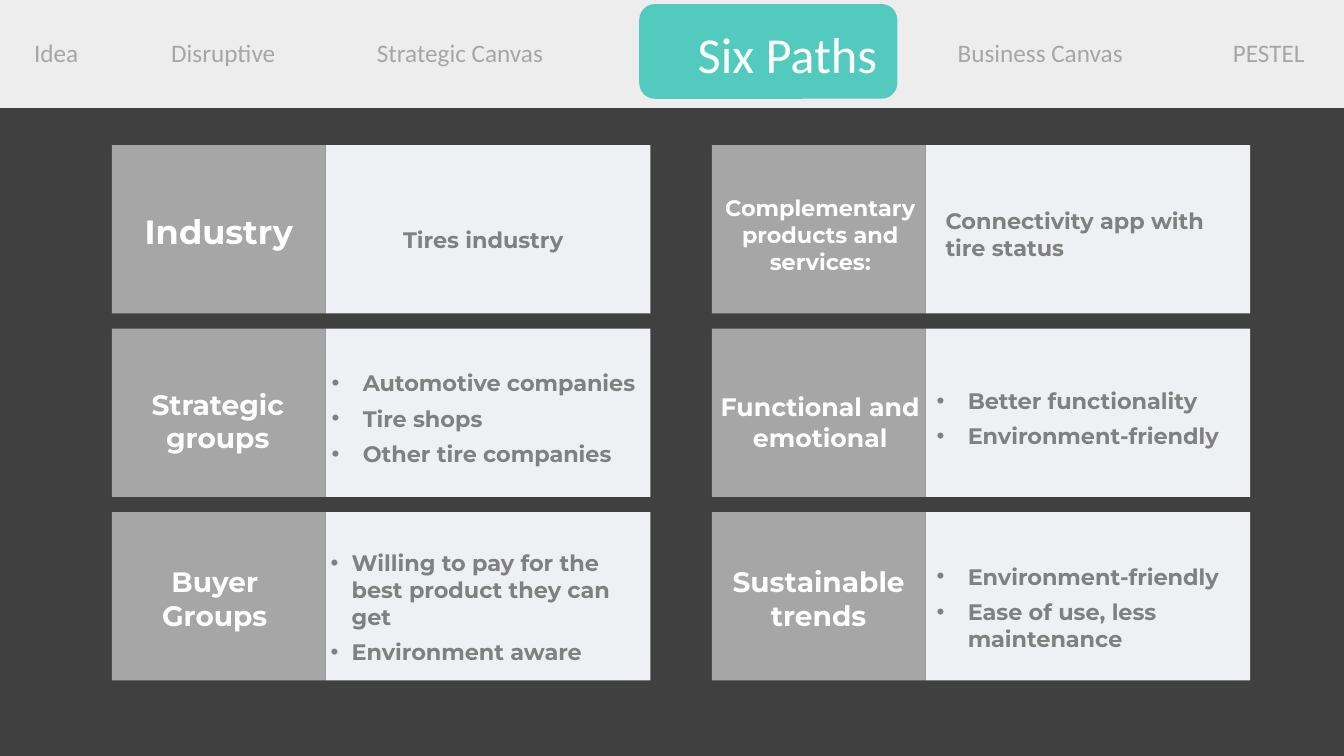
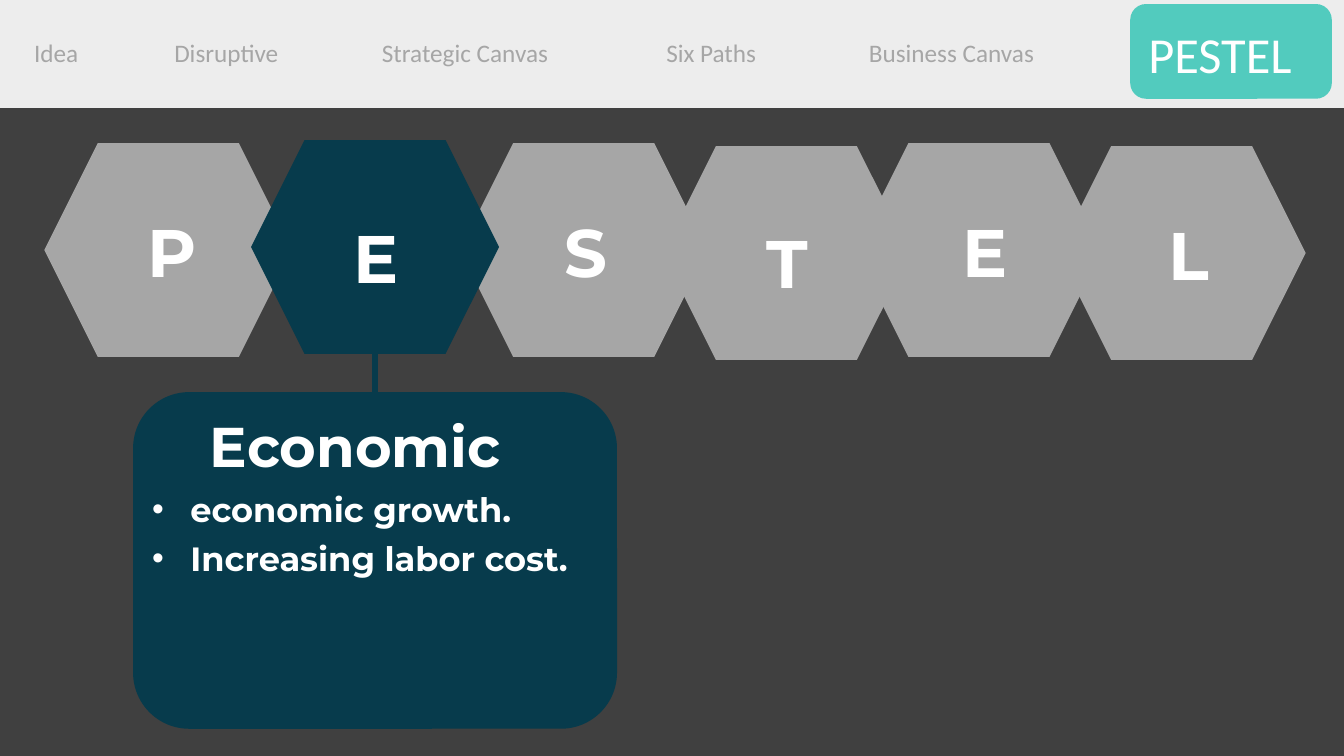
from dataclasses import dataclass

from lxml import etree
from pptx import Presentation
from pptx.dml.color import RGBColor
from pptx.enum import shapes, text
from pptx.oxml import ns
from pptx.util import Inches, Pt


@dataclass(frozen=True)
class Theme:
    # Colours
    page: str = "404040"
    band: str = "EDEDED"
    tab: str = "52CBBE"
    grey: str = "A6A6A6"
    panel: str = "EFF0F3"
    body: str = "808080"
    accent: str = "073B4C"
    white: str = "FFFFFF"
    # Fonts and type sizes
    nav_font: str = "Calibri"
    font: str = "Montserrat"
    nav_size: int = 18
    tab_size: int = 36
    body_size: int = 16
    list_size: int = 24
    title_size: int = 40
    letter_size: int = 48


THEME = Theme()
LEFT, CENTER, RIGHT = (text.PP_ALIGN.LEFT, text.PP_ALIGN.CENTER,
                       text.PP_ALIGN.RIGHT)
RECT = shapes.MSO_SHAPE.RECTANGLE
ROUND = shapes.MSO_SHAPE.ROUNDED_RECTANGLE
HEXAGON = shapes.MSO_SHAPE.HEXAGON

NAV_NAMES = ("Idea", "Disruptive", "Strategic Canvas", "Six Paths",
             "Business Canvas", "PESTEL")
NAV_WIDTHS = (0.71, 1.49, 2.2, 1.39, 2.14, 1.04)

# Six Paths grid
COLUMN_LEFTS = (1.11, 7.06)
ROW_TOP, ROW_PITCH, ROW_HEIGHT = 1.44, 1.82, 1.67
LABEL_WIDTH, PANEL_WIDTH = 2.12, 3.22

# Column, row, (label, size, box), (lines, box, bullet indents or None)
PATHS = (
    (0, 0, ("Industry", 24, (1.11, 2.04, 2.12, 0.5)),
     (["Tires industry"], (3.9, 2.19, 2.44, 0.37), None)),
    (0, 1, ("Strategic groups", 20, (1.1, 3.79, 2.12, 0.77)),
     (["Automotive companies", "Tire shops", "Other tire companies"],
      (3.19, 3.61, 3.6, 1.08), (0.31, -0.31))),
    (0, 2, ("Buyer Groups", 20, (1.07, 5.55, 2.12, 0.77)),
     (["Willing to pay for the best product they can get",
       "Environment aware"], (3.08, 5.53, 3.46, 0.99), (0.31, -0.21))),
    (1, 0, ("Complementary products and services:", 16,
            (6.79, 1.87, 2.69, 0.91)),
     (["Connectivity app with tire status"], (9.28, 2, 3.14, 0.64), None)),
    (1, 1, ("Functional and emotional", 18, (6.58, 3.83, 3.11, 0.71)),
     (["Better functionality", "Environment-friendly"],
      (9.19, 3.79, 3.41, 0.72), (0.31, -0.31))),
    (1, 2, ("Sustainable trends", 20, (6.89, 5.55, 2.46, 0.77)),
     (["Environment-friendly", "Ease of use, less maintenance"],
      (9.19, 5.53, 3.41, 0.99), (0.31, -0.31))),
)

# Letter, hexagon left and top, letter offset within the hexagon
HEXAGONS = (
    ("S", 4.56, 1.42, 0.73, 0.61),
    ("P", 0.44, 1.42, 0.75, 0.61),
    ("E", 2.49, 1.39, 0.72, 0.7),
    ("E", 8.48, 1.42, 0.77, 0.61),
    ("T", 6.57, 1.45, 0.72, 0.69),
    ("L", 10.49, 1.45, 0.78, 0.61),
)
ACTIVE_HEXAGON = 2


def lengths(box):
    return [Inches(value) for value in box]


def add_block(parent, kind, box, color):
    """Flat filled shape without outline or shadow."""
    shape = parent.shapes.add_shape(kind, *lengths(box))
    shape.shadow.inherit = False
    shape.fill.solid()
    shape.fill.fore_color.rgb = RGBColor.from_string(color)
    shape.line.fill.background()
    return shape


def set_bullet(para, indents):
    margin, hanging = lengths(indents)
    props = para._p.get_or_add_pPr()
    props.set("marL", str(margin))
    props.set("indent", str(hanging))
    etree.SubElement(props, ns.qn("a:buFont")).set("typeface", "Arial")
    etree.SubElement(props, ns.qn("a:buChar")).set("char", "•")


def add_text(parent, box, lines, size, color, font=THEME.font, bold=True,
             align=LEFT, indents=None, gap=6):
    """Wrapped text, centred vertically, with one paragraph per line."""
    frame = parent.shapes.add_textbox(*lengths(box)).text_frame
    frame_format = {"word_wrap": True,
                    "vertical_anchor": text.MSO_ANCHOR.MIDDLE,
                    "auto_size": text.MSO_AUTO_SIZE.SHAPE_TO_FIT_TEXT}
    for name, value in frame_format.items():
        setattr(frame, name, value)
    for index, line in enumerate(lines):
        para = frame.paragraphs[0] if index == 0 else frame.add_paragraph()
        para.alignment = align
        if indents:
            set_bullet(para, indents)
        if index:
            para.space_before = Pt(gap)
        span = para.add_run()
        span.text = line
        for name, value in {"name": font, "size": Pt(size),
                            "bold": bold}.items():
            setattr(span.font, name, value)
        span.font.color.rgb = RGBColor.from_string(color)


def add_page(deck, active, tab_box, title_box, nav_lefts, title_align=LEFT):
    """Dark page with the navigation band and its highlighted tab."""
    page = deck.slides.add_slide(deck.slide_layouts[6])
    page.background.fill.solid()
    page.background.fill.fore_color.rgb = RGBColor.from_string(THEME.page)
    add_block(page, RECT, (0, 0, 13.33, 1.07), THEME.band)
    add_block(page, ROUND, tab_box, THEME.tab)
    for name, left, width in zip(NAV_NAMES, nav_lefts, NAV_WIDTHS):
        if name == active:
            add_text(page, title_box, [name], THEME.tab_size, THEME.white,
                     THEME.nav_font, False, title_align)
        else:
            add_text(page, (left, 0.32, width, 0.4), [name], THEME.nav_size,
                     THEME.grey, THEME.nav_font, False)
    return page


def add_path(page, column, row, label, content):
    left, top = COLUMN_LEFTS[column], ROW_TOP + row * ROW_PITCH
    add_block(page, RECT, (left + LABEL_WIDTH, top, PANEL_WIDTH, ROW_HEIGHT),
              THEME.panel)
    add_block(page, RECT, (left, top, LABEL_WIDTH, ROW_HEIGHT), THEME.grey)
    caption, size, caption_box = label
    add_text(page, caption_box, [caption], size, THEME.white, align=CENTER)
    lines, box, indents = content
    add_text(page, box, lines, THEME.body_size, THEME.body, indents=indents)


def add_hexagon(page, letter, left, top, shift_x, shift_y, color):
    group = page.shapes.add_group_shape()
    add_block(group, HEXAGON, (left, top, 2.46, 2.12), color)
    add_text(group, (left + shift_x, top + shift_y, 1.04, 0.91), [letter],
             THEME.letter_size, THEME.white, align=CENTER)


def add_stem(page, start, end):
    stem = page.shapes.add_connector(shapes.MSO_CONNECTOR.STRAIGHT,
                                     *lengths(start + end))
    stem.line.color.rgb = RGBColor.from_string(THEME.accent)
    stem.line.width = Pt(4.5)
    etree.SubElement(stem._element.spPr, ns.qn("a:effectLst"))
    return stem


def build_six_paths(deck):
    page = add_page(deck, "Six Paths", (6.34, 0.04, 2.56, 0.94),
                    (6.44, 0.17, 2.36, 0.71),
                    (0.24, 1.6, 3.64, 6.44, 9.4, 12.13), RIGHT)
    for path_row in PATHS:
        add_path(page, *path_row)


def build_pestel(deck):
    page = add_page(deck, "PESTEL", (11.21, 0.04, 2, 0.94),
                    (11.29, 0.17, 1.98, 0.71),
                    (0.24, 1.63, 3.69, 6.51, 8.52, 11.29))
    # The stem lies behind the hexagons
    stem = add_stem(page, (3.72, 3.14), (3.72, 3.89))
    for index, hexagon in enumerate(HEXAGONS):
        color = THEME.accent if index == ACTIVE_HEXAGON else THEME.grey
        add_hexagon(page, *hexagon, color)
    # Details of the active letter
    callout = add_block(page, ROUND, (1.32, 3.89, 4.8, 3.34), THEME.accent)
    stem.end_connect(callout, 0)
    add_text(page, (1.96, 4.03, 3.13, 0.77), ["Economic"], THEME.title_size,
             THEME.white, align=CENTER)
    add_text(page, (1.41, 4.8, 4.56, 0.99),
             ["economic growth.", "Increasing labor cost."],
             THEME.list_size, THEME.white, indents=(0.38, -0.38))


def main():
    deck = Presentation()
    deck.slide_width, deck.slide_height = Inches(13.33), Inches(7.5)
    build_six_paths(deck)
    build_pestel(deck)
    deck.save("out.pptx")


if __name__ == "__main__":
    main()
